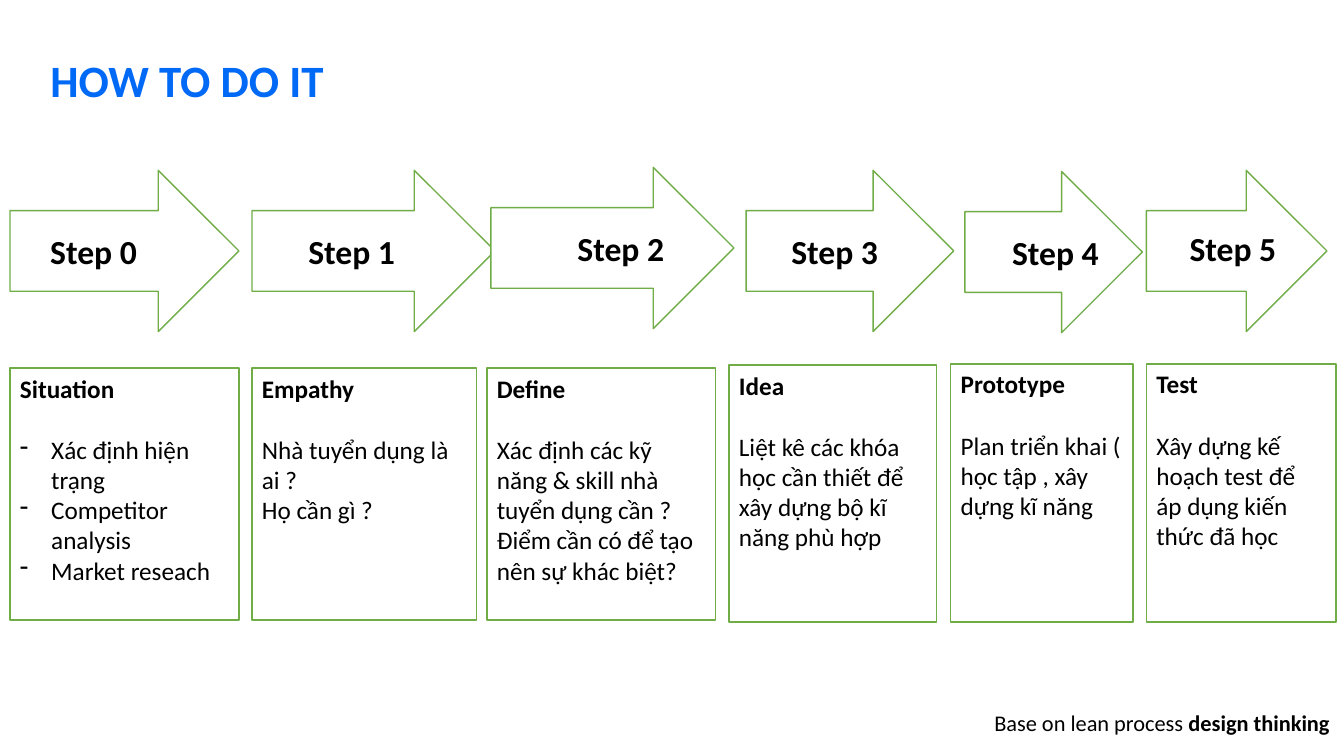
from dataclasses import dataclass

import lxml.etree
import pptx
import pptx.dml.color
import pptx.enum.shapes
import pptx.enum.text
import pptx.oxml.ns
import pptx.util

SHAPE = pptx.enum.shapes.MSO_SHAPE
ALIGN = pptx.enum.text.PP_ALIGN
ANCHOR = pptx.enum.text.MSO_ANCHOR


@dataclass(frozen=True)
class Theme:
    font: str = "Calibri"
    title: str = "0069F5"
    text: str = "000000"
    fill: str = "FFFFFF"
    outline: str = "70AD47"
    title_size: int = 32
    step_size: int = 24
    card_size: int = 18
    note_size: int = 16
    card_gap: int = 22


THEME = Theme()
WIDTH, HEIGHT = pptx.util.Inches(13.33), pptx.util.Inches(7.5)

# Areas are left, top, width, height in percent of the slide
TITLE_AREA = (3.75, 8.27, 92.57, 5.87)
NOTE_AREA = (72.92, 93.2, 27.08, 4.93)
ARROW_HEIGHT, LABEL_HEIGHT = 21.33, 6.67

# Each step: arrow (left, top, width), label (left, top, width),
# card area, heading, body lines, whether the body is a dashed list
STEPS = [
    ((0.75, 22.53, 17.03), (3, 29.87, 12.53), (0.75, 48.67, 17.03, 33.33),
     "Situation",
     ["Xác định hiện trạng", "Competitor analysis", "Market reseach"], True),
    ((18.75, 22.53, 18.08), (22.2, 29.87, 13.28), (18.75, 48.67, 16.73, 33.33),
     "Empathy", ["Nhà tuyển dụng là ai ?", "Họ cần gì ?"], False),
    ((36.53, 22.13, 18.08), (42.23, 29.47, 13.28), (36.23, 48.67, 17.03, 33.33),
     "Define",
     ["Xác định các kỹ năng & skill nhà tuyển dụng cần ?",
      "Điểm cần có để tạo nên sự khác biệt?"], False),
    ((55.51, 22.53, 15.45), (58.14, 29.87, 13.28), (54.24, 48.27, 15.45, 34),
     "Idea",
     ["Liệt kê các khóa học cần thiết để xây dựng bộ kĩ năng phù hợp"], False),
    ((71.79, 22.67, 13.2), (74.57, 30, 11.63), (70.74, 48.13, 13.58, 34.13),
     "Prototype", ["Plan triển khai ( học tập , xây dựng kĩ năng"], False),
    ((85.3, 22.53, 13.43), (87.77, 29.47, 11.63), (85.3, 48.13, 14.1, 34.13),
     "Test", ["Xây dựng kế hoạch test để áp dụng kiến thức đã học"], False),
]


def place(area):
    x, y, w, h = area
    return [int(v) for v in (WIDTH * x / 100, HEIGHT * y / 100,
                             WIDTH * w / 100, HEIGHT * h / 100)]


def rgb(value):
    return pptx.dml.color.RGBColor.from_string(value)


def write(p, text, size, color=THEME.text, bold=False, align=ALIGN.LEFT):
    """Append a formatted run to a paragraph."""
    p.alignment = align
    r = p.add_run()
    r.text = text
    r.font.name = THEME.font
    r.font.size = pptx.util.Pt(size)
    r.font.bold = bold
    r.font.color.rgb = rgb(color)


def add_dash(p):
    pPr = p._p.get_or_add_pPr()
    indent = pptx.util.Inches(0.31)
    pPr.set("marL", str(indent))
    pPr.set("indent", str(-indent))
    bullet = lxml.etree.SubElement(pPr, pptx.oxml.ns.qn("a:buChar"))
    bullet.set("char", "-")


def add_outlined(s, kind, area):
    sp = s.shapes.add_shape(kind, *place(area))
    sp.shadow.inherit = False
    sp.fill.solid()
    sp.fill.fore_color.rgb = rgb(THEME.fill)
    sp.line.color.rgb = rgb(THEME.outline)
    sp.line.width = pptx.util.Pt(1)
    return sp


def add_text(s, area):
    """Add a wrapping text box and return its first paragraph."""
    tf = s.shapes.add_textbox(*place(area)).text_frame
    tf.word_wrap = True
    return tf.paragraphs[0]


def add_title(s, text):
    sp = s.shapes.title
    sp.left, sp.top, sp.width, sp.height = place(TITLE_AREA)
    tf = sp.text_frame
    tf.auto_size = pptx.enum.text.MSO_AUTO_SIZE.NONE
    tf.vertical_anchor = ANCHOR.MIDDLE
    tf.margin_left = tf.margin_right = tf.margin_top = tf.margin_bottom = 0
    p = tf.paragraphs[0]
    p.line_spacing = 0.8
    write(p, text, THEME.title_size, color=THEME.title, bold=True)


def add_card(s, area, heading, lines, dashed):
    tf = add_outlined(s, SHAPE.RECTANGLE, area).text_frame
    tf.word_wrap = True
    tf.vertical_anchor = ANCHOR.TOP
    write(tf.paragraphs[0], heading, THEME.card_size, bold=True)
    for i, line in enumerate(lines):
        p = tf.add_paragraph()
        if i == 0:
            p.space_before = pptx.util.Pt(THEME.card_gap)
        write(p, line, THEME.card_size)
        if dashed:
            add_dash(p)


def main():
    prs = pptx.Presentation()
    prs.slide_width, prs.slide_height = WIDTH, HEIGHT
    s = prs.slides.add_slide(prs.slide_layouts[5])
    add_title(s, "HOW TO DO IT")

    # Process steps: arrow, label and card
    for i, (arrow, label, card, heading, lines, dashed) in enumerate(STEPS):
        add_outlined(s, SHAPE.RIGHT_ARROW, (*arrow, ARROW_HEIGHT))
        write(add_text(s, (*label, LABEL_HEIGHT)), f"Step {i}",
              THEME.step_size, bold=True)
        add_card(s, card, heading, lines, dashed)

    # Closing note
    p = add_text(s, NOTE_AREA)
    write(p, "Base on lean process ", THEME.note_size, align=ALIGN.CENTER)
    write(p, "design thinking", THEME.note_size, bold=True, align=ALIGN.CENTER)

    prs.save("out.pptx")


if __name__ == "__main__":
    main()
